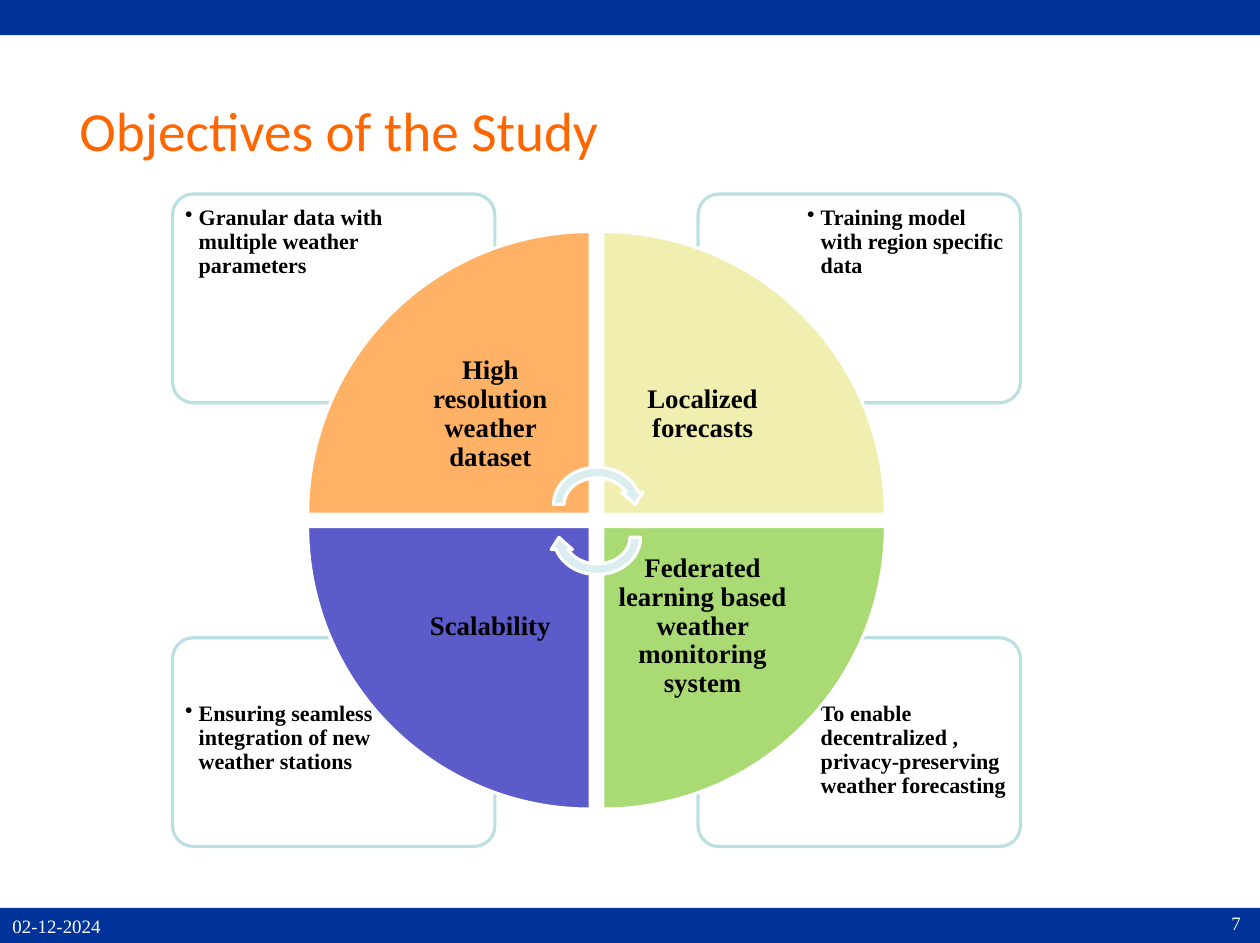
from dataclasses import dataclass

from lxml.etree import SubElement
from pptx import Presentation
from pptx.dml.color import RGBColor
from pptx.enum.shapes import MSO_SHAPE
from pptx.enum.text import MSO_ANCHOR, MSO_AUTO_SIZE, PP_ALIGN
from pptx.oxml.ns import qn
from pptx.util import Inches, Pt


@dataclass(frozen=True)
class Theme:
    bar: str = "003399"
    title: str = "FF6600"
    white: str = "FFFFFF"
    text: str = "000000"
    card_line: str = "BBE0E3"
    arrow: str = "DAEDEF"
    heading_font: str = "Calibri"
    body_font: str = "Times New Roman"
    title_size: int = 35
    wedge_size: int = 17
    card_size: int = 14
    footer_size: int = 12
    line_width: int = 2


THEME = Theme()
PAGE_WIDTH, PAGE_HEIGHT, BAR_HEIGHT = 11.1, 8.31, 0.31

# column, row, rotation, wedge colour, wedge label, card text
QUADRANTS = [
    (0, 0, 0, "FFB265", "High resolution weather dataset",
     "Granular data with multiple weather parameters"),
    (1, 0, 90, "F1EFAF", "Localized forecasts",
     "Training model with region specific data"),
    (1, 1, 180, "A9DA74", "Federated learning based weather monitoring system",
     "To enable decentralized , privacy-preserving weather forecasting"),
    (0, 1, 270, "5B5BC9", "Scalability",
     "Ensuring seamless integration of new weather stations"),
]


def add_box(page, kind, left, top, width, height, fill, line=None, rotation=0):
    box = page.shapes.add_shape(
        kind, Inches(left), Inches(top), Inches(width), Inches(height))
    box.shadow.inherit = False
    box.rotation = rotation
    box.fill.solid()
    box.fill.fore_color.rgb = RGBColor.from_string(fill)
    if line:
        box.line.color.rgb = RGBColor.from_string(line)
        box.line.width = Pt(THEME.line_width)
    else:
        box.line.fill.background()
    return box


def set_margins(frame, side, end):
    frame.margin_left = frame.margin_right = Inches(side)
    frame.margin_top = frame.margin_bottom = Inches(end)


def style_font(font, name, size, color, bold=False):
    font.name, font.size, font.bold = name, Pt(size), bold
    font.color.rgb = RGBColor.from_string(color)


def add_bullet(para, indent):
    properties = para._p.get_or_add_pPr()
    properties.set("marL", str(Inches(indent)))
    properties.set("indent", str(-Inches(indent)))
    SubElement(properties, qn("a:buChar")).set("char", "•")


def add_text(page, text, left, top, width, height, size, margins,
             color=THEME.text, bold=True, align=PP_ALIGN.LEFT,
             anchor=MSO_ANCHOR.TOP, spacing=0.9, bullet=False):
    box = page.shapes.add_textbox(
        Inches(left), Inches(top), Inches(width), Inches(height))
    frame = box.text_frame
    frame.word_wrap = True
    frame.vertical_anchor = anchor
    set_margins(frame, *margins)
    para = frame.paragraphs[0]
    para.text = text
    para.alignment = align
    para.line_spacing = spacing
    if bullet:
        add_bullet(para, 0.12)
    style_font(para.font, THEME.body_font, size, color, bold)


def add_title(page, text):
    title = page.shapes.title
    title.left, title.top = Inches(0.59), Inches(0.45)
    title.width, title.height = Inches(7.91), Inches(1.39)
    frame = title.text_frame
    frame.text = text
    frame.auto_size = MSO_AUTO_SIZE.NONE
    frame.vertical_anchor = MSO_ANCHOR.MIDDLE
    set_margins(frame, 0.11, 0.06)
    para = frame.paragraphs[0]
    para.alignment = PP_ALIGN.LEFT
    style_font(para.font, THEME.heading_font, THEME.title_size, THEME.title)


def add_footer(page, text, left, top, align):
    add_text(page, text, left, top, 2.31, 0.55, THEME.footer_size, (0.11, 0.06),
             color=THEME.white, bold=False, align=align, spacing=1.0)


def add_card(page, column, row, text):
    card = add_box(page, MSO_SHAPE.ROUNDED_RECTANGLE,
                   1.52 + 4.63 * column, 1.71 + 3.91 * row, 2.84, 1.84,
                   THEME.white, THEME.card_line)
    card.adjustments[0] = 0.1
    add_text(page, text, 1.56 + 5.48 * column, 1.75 + 4.37 * row, 1.91, 1.3,
             THEME.card_size, (0.07, 0.07), bullet=True)


def add_wedge(page, column, row, rotation, color, label):
    add_box(page, MSO_SHAPE.PIE_WEDGE, 2.71 + 2.6 * column, 2.04 + 2.6 * row,
            2.49, 2.49, color, THEME.white, rotation)
    add_text(page, label, 3.44 + 1.87 * column, 2.77 + 1.87 * row, 1.76, 1.76,
             THEME.wedge_size, (0.13, 0.13), align=PP_ALIGN.CENTER,
             anchor=MSO_ANCHOR.MIDDLE)


def main():
    deck = Presentation()
    deck.slide_width, deck.slide_height = Inches(PAGE_WIDTH), Inches(PAGE_HEIGHT)
    page = deck.slides.add_slide(deck.slide_layouts[5])

    # Bars, title and footer
    for top in (0, PAGE_HEIGHT - BAR_HEIGHT):
        add_box(page, MSO_SHAPE.RECTANGLE, 0, top, PAGE_WIDTH, BAR_HEIGHT, THEME.bar)
    add_title(page, "Objectives of the Study")
    add_footer(page, "02-12-2024", 0, 8, PP_ALIGN.LEFT)
    add_footer(page, "7", 8.73, 7.97, PP_ALIGN.RIGHT)

    # Cards lie behind the wheel
    for column, row, _, _, _, detail in reversed(QUADRANTS):
        add_card(page, column, row, detail)

    # Wheel of four wedges
    for column, row, rotation, color, label, _ in QUADRANTS:
        add_wedge(page, column, row, rotation, color, label)

    # Cycle arrows at the hub
    for top, rotation in ((4.07, 0), (4.36, 180)):
        add_box(page, MSO_SHAPE.CIRCULAR_ARROW, 4.83, top, 0.86, 0.75,
                THEME.arrow, THEME.white, rotation)

    deck.save("out.pptx")


if __name__ == "__main__":
    main()
